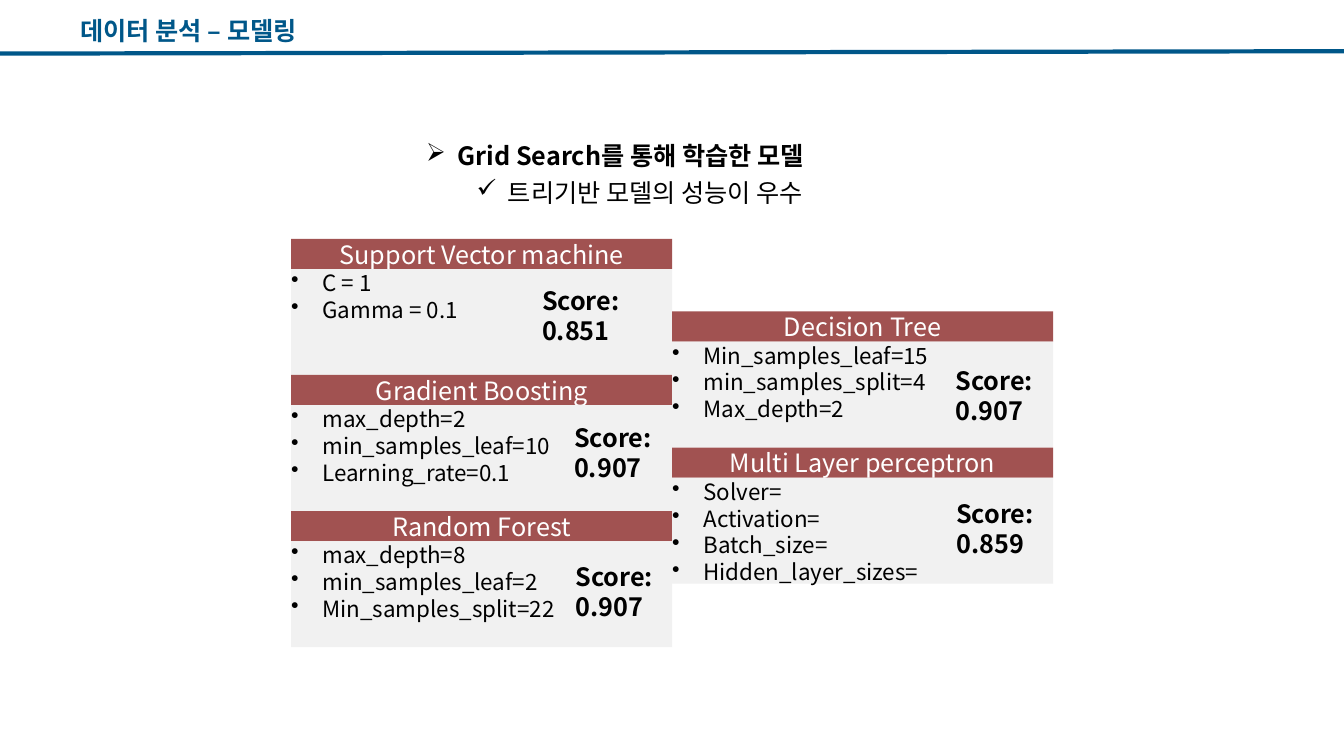
import pptx
import pptx.util
import pptx.dml.color
import pptx.enum.shapes
import pptx.enum.text
import lxml.etree

Cm = pptx.util.Cm
Pt = pptx.util.Pt
ALIGN = pptx.enum.text.PP_ALIGN

BLUE = "005789"
RED = "A15251"
GREY = "F1F1F1"
BLACK = "000000"
WHITE = "FFFFFF"


def color(value):
    return pptx.dml.color.RGBColor.from_string(value)


class Painter:
    font = "Noto Sans CJK KR"
    head_height = 0.76
    body_height = 2.67
    card_width = 9.6

    def __init__(self, page):
        self.page = page

    def fill_lines(self, frame, lines, size, ink, bold=False, align=ALIGN.LEFT):
        for index, line in enumerate(lines):
            para = frame.paragraphs[0] if index == 0 else frame.add_paragraph()
            para.text = line
            para.alignment = align
            para.font.name = self.font
            para.font.size = Pt(size)
            para.font.bold = bold
            para.font.color.rgb = color(ink)
            tag = pptx.oxml.ns.qn("a:ea")
            fonts = para.font._element
            lxml.etree.SubElement(fonts, tag, typeface=self.font)

    def bullet(self, para, symbol, left, hang):
        props = para._p.get_or_add_pPr()
        props.set("marL", str(Cm(left)))
        props.set("indent", str(-Cm(hang)))
        mark = lxml.etree.Element(pptx.oxml.ns.qn("a:buChar"), char=symbol)
        defaults = props.find(pptx.oxml.ns.qn("a:defRPr"))
        defaults.addprevious(mark)

    def margins(self, frame, top=0):
        frame.margin_left = frame.margin_right = frame.margin_bottom = 0
        frame.margin_top = Cm(top)

    def text(self, left, top, width, height, lines, ink=BLACK, bold=True, wrap=True):
        box = self.page.shapes.add_textbox(Cm(left), Cm(top), Cm(width), Cm(height))
        box.text_frame.word_wrap = wrap
        self.fill_lines(box.text_frame, lines, 18, ink, bold)
        return box.text_frame

    def panel(self, left, top, height, fill):
        shape = self.page.shapes.add_shape(
            pptx.enum.shapes.MSO_SHAPE.RECTANGLE,
            Cm(left), Cm(top), Cm(self.card_width), Cm(height))
        shape.shadow.inherit = False
        shape.fill.solid()
        shape.fill.fore_color.rgb = color(fill)
        shape.line.fill.background()
        frame = shape.text_frame
        frame.word_wrap = True
        frame.vertical_anchor = pptx.enum.text.MSO_ANCHOR.TOP
        self.margins(frame)
        return frame

    def card(self, left, top, name, settings, score, score_at):
        head = self.panel(left, top, self.head_height, RED)
        self.fill_lines(head, [name], 18, WHITE, align=ALIGN.CENTER)
        body = self.panel(left, top + self.head_height, self.body_height, GREY)
        self.fill_lines(body, settings, 16, BLACK)
        for para in body.paragraphs:
            self.bullet(para, "•", 0.79, 0.79)
        self.text(*score_at, 1.8, ["Score:", score])

    def column(self, left, top, cards):
        for row, card in enumerate(cards):
            self.card(left, top + row * (self.head_height + self.body_height), *card)

    def rule(self, left, top, right, bottom):
        line = self.page.shapes.add_connector(
            pptx.enum.shapes.MSO_CONNECTOR.STRAIGHT,
            Cm(left), Cm(top), Cm(right), Cm(bottom))
        line.line.color.rgb = color(BLUE)
        line.line.width = Pt(3)
        props = line._element.spPr
        lxml.etree.SubElement(props, pptx.oxml.ns.qn("a:effectLst"))

    def summary(self, left, top, width, height, lines):
        frame = self.text(left, top, width, height, lines)
        self.margins(frame, 0.1)
        for level, para in enumerate(frame.paragraphs):
            para.level = level
            para.line_spacing = 1.09
            para.space_before = Pt(2.8)
            para.font.bold = level == 0
            self.bullet(para, "➢✓"[level], 0.84 + 1.27 * level, 0.79)


LEFT_MODELS = [
    ("Support Vector machine", ["C = 1", "Gamma = 0.1"],
     "0.851", (13.41, 7.06, 4.01)),
    ("Gradient Boosting", ["max_depth=2", "min_samples_leaf=10", "Learning_rate=0.1"],
     "0.907", (14.22, 10.52, 4.01)),
    ("Random Forest", ["max_depth=8", "min_samples_leaf=2", "Min_samples_split=22"],
     "0.907", (14.25, 14.02, 2.46)),
]
RIGHT_MODELS = [
    ("Decision Tree", ["Min_samples_leaf=15", "min_samples_split=4", "Max_depth=2"],
     "0.907", (23.83, 9.07, 4.01)),
    ("Multi Layer perceptron",
     ["Solver=", "Activation=", "Batch_size=", "Hidden_layer_sizes="],
     "0.859", (23.85, 12.42, 2.46)),
]


def main():
    deck = pptx.Presentation()
    deck.slide_width = Cm(33.87)
    deck.slide_height = Cm(19.05)
    painter = Painter(deck.slides.add_slide(deck.slide_layouts[6]))
    painter.text(1.78, 0.25, 6.65, 1.02, ["데이터 분석 – 모델링"], BLUE, wrap=False)
    painter.rule(-0.02, 1.35, 33.87, 1.29)
    painter.column(7.34, 6.02, LEFT_MODELS)
    painter.column(16.94, 7.85, RIGHT_MODELS)
    painter.summary(10.69, 3.38, 11.96, 3.96,
                    ["Grid Search를 통해 학습한 모델", "트리기반 모델의 성능이 우수"])
    deck.save("out.pptx")


if __name__ == "__main__":
    main()
